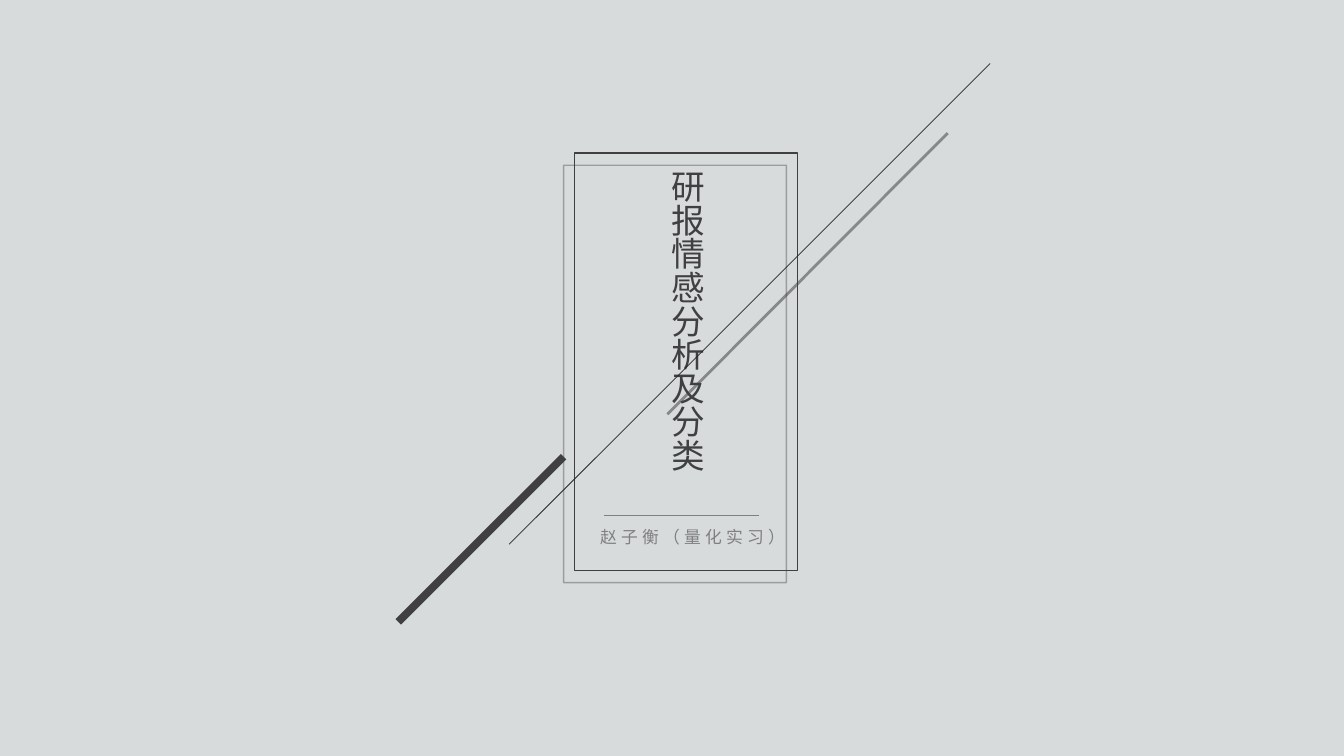
from lxml import etree
from pptx import Presentation
from pptx.dml.color import RGBColor
from pptx.enum.shapes import MSO_CONNECTOR, MSO_SHAPE
from pptx.enum.text import PP_ALIGN
from pptx.oxml.ns import qn
from pptx.util import Inches, Pt

RECT = MSO_SHAPE.RECTANGLE
STRAIGHT = MSO_CONNECTOR.STRAIGHT
CENTER, JUSTIFY = PP_ALIGN.CENTER, PP_ALIGN.JUSTIFY
HAN = "Noto Sans CJK SC"
LATIN = "Roboto Condensed"
DARK, BLACK, GRAY, PALE = "404040", "262626", "808080", "D7DBDC"

deck = Presentation()
deck.slide_width, deck.slide_height = Inches(13.33), Inches(7.5)
slide = deck.slides.add_slide(deck.slide_layouts[6])


def stroke(shape, color, width, alpha=100):
    shape.line.color.rgb = RGBColor.from_string(color)
    shape.line.width = Pt(width)
    if alpha < 100:
        tint = shape.line._ln.find(".//" + qn("a:srgbClr"))
        etree.SubElement(tint, qn("a:alpha"), val=str(alpha * 1000))


def write(text, box, size, color, font, align, space=0, upright=False):
    frame = slide.shapes.add_textbox(*map(Inches, box)).text_frame
    frame.word_wrap = True
    if upright:
        frame._txBody.bodyPr.set("vert", "eaVert")
    para = frame.paragraphs[0]
    para.alignment = align
    run = para.add_run()
    run.text = text
    run.font.size = Pt(size)
    run.font.color.rgb = RGBColor.from_string(color)
    run.font.name = font
    props = run._r.get_or_add_rPr()
    etree.SubElement(props, qn("a:ea"), typeface=HAN)
    if space:
        props.set("spc", str(space * 100))


# Background
fill = slide.background.fill
fill.solid()
fill.fore_color.rgb = RGBColor.from_string(PALE)

# Two offset frames
for left, top, alpha in [(5.59, 1.64, 40), (5.7, 1.52, 100)]:
    frame = slide.shapes.add_shape(
        RECT, Inches(left), Inches(top), Inches(2.21), Inches(4.14))
    frame.shadow.inherit = False
    frame.fill.background()
    stroke(frame, DARK, 1, alpha)

# Title
write("研报情感分析及分类", (6.45, 1.59, 0.61, 3.55), 24, DARK, HAN,
      JUSTIFY, upright=True)

# Diagonals and the rule above the author
lines = [
    ((5.05, 5.4, 9.82, 0.63), BLACK, 0.5, 100),
    ((5.59, 4.53, 3.95, 6.17), DARK, 5.5, 100),
    ((9.4, 1.32, 6.62, 4.11), DARK, 0, 52),
    ((5.99, 5.11, 7.53, 5.11), GRAY, 0.5, 100),
]
for ends, color, width, alpha in lines:
    line = slide.shapes.add_connector(STRAIGHT, *map(Inches, ends))
    stroke(line, color, width, alpha)
    etree.SubElement(line._element.spPr, qn("a:effectLst"))

# Author
write("赵子衡（量化实习）", (5.83, 5.18, 2.08, 0.3), 12, GRAY, LATIN,
      CENTER, space=3)

deck.save("out.pptx")
